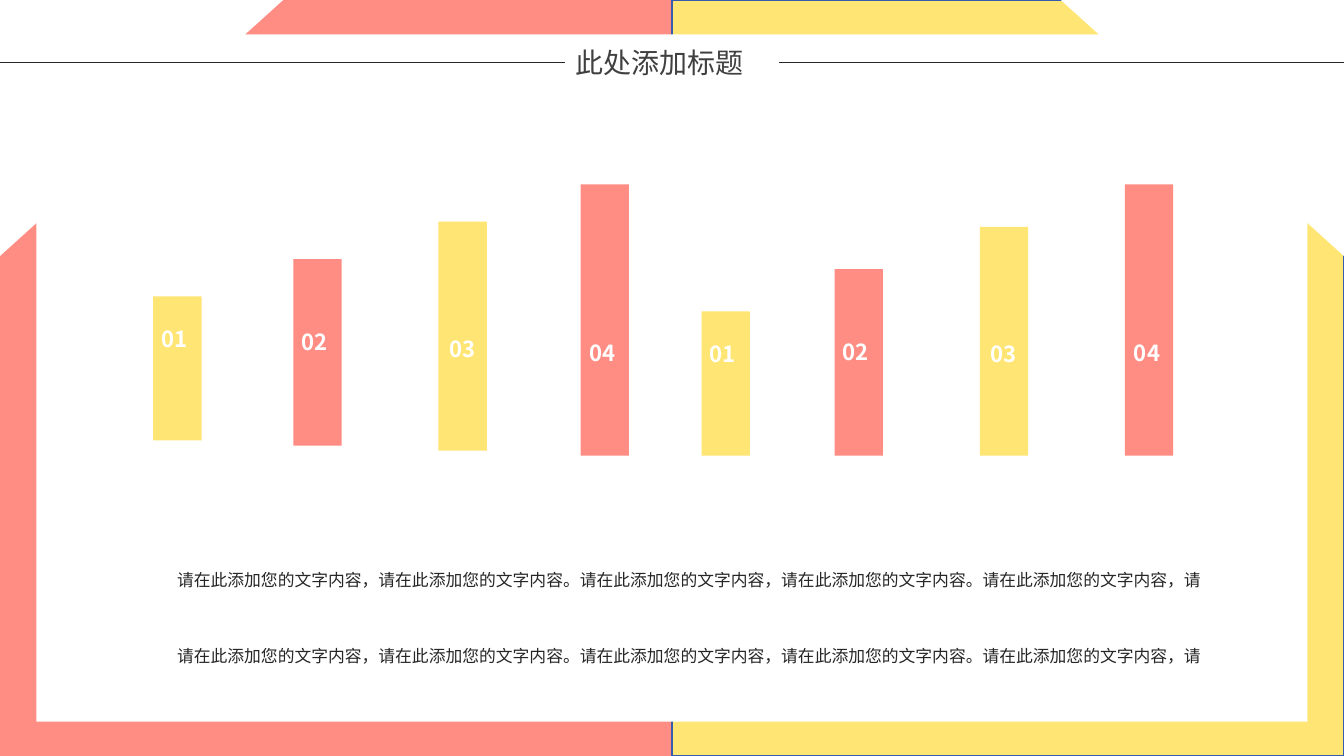
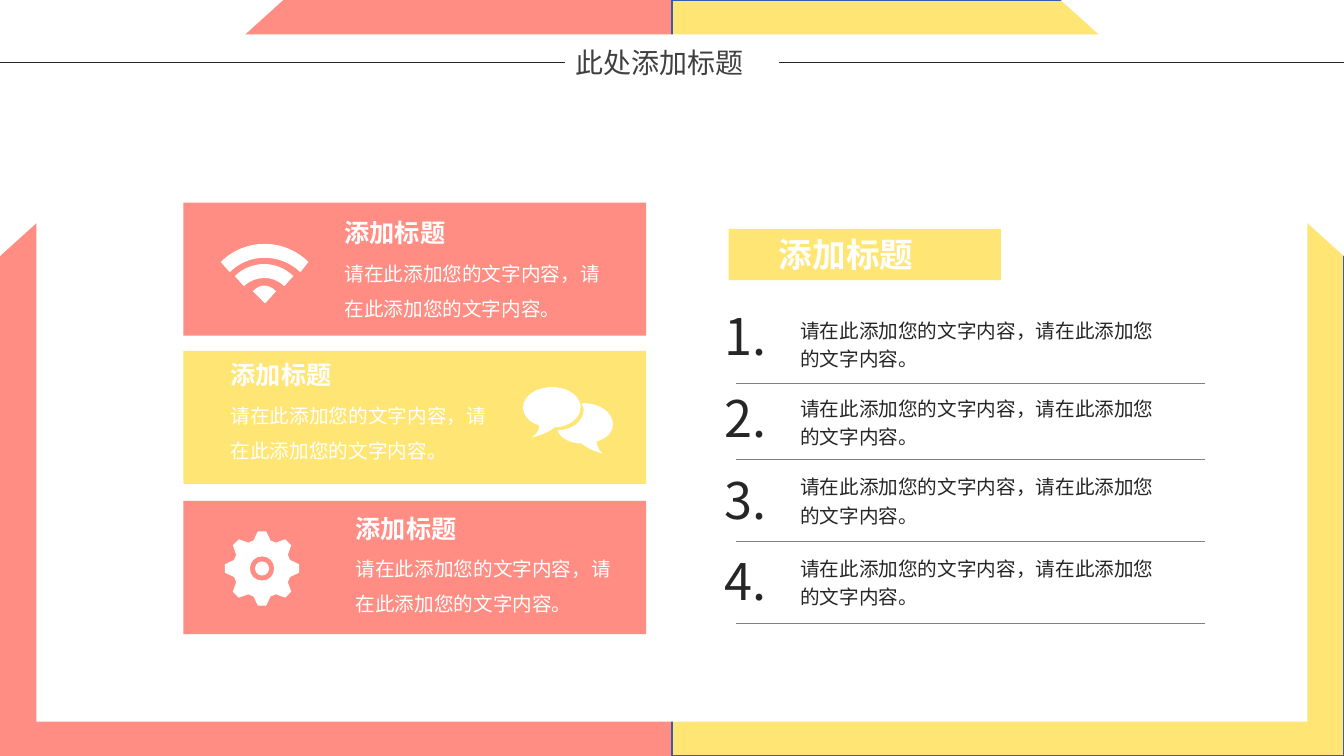
from dataclasses import dataclass
from math import cos, radians, sin

from lxml.etree import SubElement
from pptx import Presentation
from pptx.dml.color import RGBColor as RGB
from pptx.enum.shapes import MSO_CONNECTOR as Connector, MSO_SHAPE as Shape
from pptx.enum.text import MSO_ANCHOR as Anchor, MSO_AUTO_SIZE as AutoSize, PP_ALIGN as Align
from pptx.oxml.ns import qn
from pptx.util import Inches, Pt


@dataclass(frozen=True)
class Theme:
    coral: str = "FF8D83"
    yellow: str = "FFE674"
    white: str = "FFFFFF"
    edge: str = "355CAD"
    ink: str = "262626"
    title_ink: str = "404040"
    rule: str = "808080"
    font: str = "Noto Sans CJK SC"
    title: float = 20
    banner: float = 24
    heading: float = 18
    body: float = 14
    caption: float = 12
    bar_label: float = 15.8
    numeral: float = 36


THEME = Theme()
WIDTH, HEIGHT = 40 / 3, 7.5
TITLE = "此处添加标题"
HEADING = "添加标题"
SENTENCE = "请在此添加您的文字内容，请在此添加您的文字内容。"
CAPTION = SENTENCE * 2 + "请在此添加您的文字内容，请"

# Icon outlines in inches: a pair is a corner, six numbers are a Bézier curve
WIFI = [
    [(.87, .19), (.63, -.05, .24, -.05, 0, .19), (.09, .29), (.28, .1, .59, .1, .79, .29)],
    [(.72, .33), (.56, .17, .3, .17, .14, .33), (.23, .43), (.35, .32, .52, .32, .63, .43)],
    [(.55, .48), (.48, .41, .39, .4, .32, .48), (.44, .6)],
]
BUBBLES = [
    [(.89, .37), (.89, .25, .76, .16, .6, .16), (.58, .17), (.6, .19, .6, .21, .6, .23),
     (.6, .34, .48, .43, .34, .43), (.37, .51, .47, .56, .58, .56),
     (.66, .63, .79, .66, .79, .66), (.73, .61, .73, .56, .73, .54),
     (.83, .51, .89, .45, .89, .37)],
    [(.55, .13), (.52, .06, .41, 0, .29, 0), (.13, 0, 0, .09, 0, .2),
     (0, .28, .06, .35, .16, .38), (.16, .41, .16, .44, .09, .5),
     (.09, .5, .22, .47, .3, .41), (.31, .4), (.45, .4, .57, .31, .57, .2),
     (.57, .18, .57, .16, .55, .13)],
]
GEAR_HOLE = [(0, .12), (-.07, .12, -.12, .07, -.12, 0), (-.12, -.07, -.07, -.12, 0, -.12),
             (.07, -.12, .12, -.07, .12, 0), (.12, .07, .07, .12, 0, .12)]


def add_block(slide, left, top, width, height, fill, kind=Shape.RECTANGLE, edge=None):
    block = slide.shapes.add_shape(kind, *map(Inches, (left, top, width, height)))
    block.shadow.inherit = False
    paint(block, fill)
    if edge:
        block.line.color.rgb = RGB.from_string(edge)
        block.line.width = Pt(1)
    return block


def paint(shape, fill):
    shape.fill.solid()
    shape.fill.fore_color.rgb = RGB.from_string(fill)
    shape.line.fill.background()


def add_rule(slide, x1, x2, y, color):
    rule = slide.shapes.add_connector(Connector.STRAIGHT, *map(Inches, (x1, y, x2, y)))
    rule.line.color.rgb = RGB.from_string(color)
    rule.line.width = Pt(.5)
    SubElement(rule.element.spPr, qn("a:effectLst"))
    return rule


def write(holder, text, size, color, bold=False, align=Align.LEFT, spacing=1.0, inset=(.1, .05)):
    """Put one formatted paragraph into a shape."""
    frame = holder.text_frame
    frame.word_wrap = True
    frame.auto_size = AutoSize.SHAPE_TO_FIT_TEXT
    frame.vertical_anchor = Anchor.TOP
    frame.margin_left = frame.margin_right = Inches(inset[0])
    frame.margin_top = frame.margin_bottom = Inches(inset[1])
    paragraph = frame.paragraphs[0]
    paragraph.alignment = align
    paragraph.line_spacing = spacing
    run = paragraph.add_run()
    run.text = text
    run.font.size = Pt(size)
    run.font.bold = bold
    run.font.color.rgb = RGB.from_string(color)
    run.font.name = THEME.font
    SubElement(run.font._element, qn("a:ea"), typeface=THEME.font)


def add_text(slide, left, top, width, height, text, **style):
    box = slide.shapes.add_textbox(*map(Inches, (left, top, width, height)))
    write(box, text, **style)


# Shared frame and title
def build_frame(slide, layout):
    """Draw the coloured frame once and hand it to the layout."""
    layout.background.fill.solid()
    layout.background.fill.fore_color.rgb = RGB.from_string(THEME.coral)
    corner_w, corner_h = 2.81, 2.54
    parts = [
        add_block(slide, WIDTH / 2, 0, WIDTH / 2, HEIGHT, THEME.yellow, edge=THEME.edge),
        add_block(slide, .36, .34, 12.61, 6.82, THEME.white),
    ]
    for left, flips in ((0, ["flipV"]), (WIDTH - corner_w, ["flipH", "flipV"])):
        corner = add_block(slide, left, 0, corner_w, corner_h, THEME.white, Shape.RIGHT_TRIANGLE)
        for flip in flips:
            corner.element.spPr.get_or_add_xfrm().set(flip, "1")
        parts.append(corner)
    for position, part in enumerate(parts, start=2):
        layout.shapes.element.insert(position, part.element)


def add_title(slide, left=5.61, top=.4, width=2.12, height=.44):
    title = slide.shapes.title
    title.left, title.top, title.width, title.height = map(Inches, (left, top, width, height))
    write(title, TITLE, size=THEME.title, color=THEME.title_ink, align=Align.JUSTIFY)
    middle = top + height / 2
    add_rule(slide, 0, left, middle, THEME.ink).end_connect(title, 1)
    add_rule(slide, left + width, WIDTH, middle, THEME.ink).begin_connect(title, 3)


# Icons
def add_outline(slide, left, top, *contours):
    """Draw closed contours, the later ones as holes, with true curves."""
    builder = None
    for contour in contours:
        points = [(Inches(left + step[i]), Inches(top + step[i + 1]))
                  for step in contour for i in range(0, len(step), 2)]
        if builder:
            builder.move_to(*points[0])
        else:
            builder = slide.shapes.build_freeform(*points[0], scale=1.0)
        builder.add_line_segments(points[1:], close=True)
    icon = builder.convert_to_shape()
    icon.shadow.inherit = False
    paint(icon, THEME.white)

    # Join each three segments of a curve step into one Bézier
    segments = iter(list(icon.element.iter(qn("a:lnTo"))))
    for step in (step for contour in contours for step in contour[1:]):
        first = next(segments)
        if len(step) == 6:
            curve = first.makeelement(qn("a:cubicBezTo"))
            first.addprevious(curve)
            for segment in (first, next(segments), next(segments)):
                curve.append(segment[0])
                segment.getparent().remove(segment)


def add_wifi(slide, left, top):
    for band in WIFI:
        add_outline(slide, left + .37, top + .4, band)


def add_bubbles(slide, left, top):
    for bubble in BUBBLES:
        add_outline(slide, left + 3.37, top + .36, bubble)


def add_gear(slide, left, top):
    center_x, center_y = left + .78, top + .67
    tooth = ((-17, .29), (-6.5, .37), (6.5, .37), (17, .29))
    rim = [(radius * cos(radians(45 * i + angle)), radius * sin(radians(45 * i + angle)))
           for i in range(8) for angle, radius in tooth]
    add_outline(slide, center_x, center_y, rim, GEAR_HOLE)
    hub = .07
    add_block(slide, center_x - hub, center_y - hub, 2 * hub, 2 * hub, THEME.white, Shape.OVAL)


# Slide 1: rising bars
def add_bars(slide, lefts, bottoms, label_tops):
    label_centers = (.21, .21, .24, .22)
    for i, (left, bottom, label_top) in enumerate(zip(lefts, bottoms, label_tops)):
        height = 1.43 + .42 * i
        add_block(slide, left, bottom - height, .48, height, (THEME.yellow, THEME.coral)[i % 2])
        add_text(slide, left + label_centers[i] - .33, label_top, .66, .37, f"{i + 1:02}",
                 size=THEME.bar_label, color=THEME.white, bold=True, align=Align.CENTER)


def build_bar_slide(slide):
    add_title(slide)
    add_bars(slide, (1.52, 2.91, 4.35, 5.76), (4.37, 4.42, 4.47, 4.52), (3.18, 3.21, 3.28, 3.32))
    add_bars(slide, (6.96, 8.28, 9.72, 11.16), (4.52,) * 4, (3.33, 3.31, 3.33, 3.32))
    for top in (5.54, 6.3):
        add_text(slide, 1.62, top, 10.44, .34, CAPTION, size=THEME.caption, color=THEME.ink,
                 align=Align.CENTER, spacing=1.3)


# Slide 2: icon cards and numbered list
def add_card(slide, left, top, fill, add_icon, text_x, text_y):
    add_block(slide, left, top, 4.59, 1.32, fill)
    add_icon(slide, left, top)
    add_text(slide, left + text_x, top + text_y, 1.31, .4, HEADING,
             size=THEME.heading, color=THEME.white, bold=True)
    add_text(slide, left + text_x, top + text_y + .32, 2.76, .77, SENTENCE,
             size=THEME.body, color=THEME.white, spacing=1.5)


def add_numbered_list(slide, left, top):
    # Banner
    add_block(slide, left + .09, top, 2.7, .51, THEME.yellow)
    add_text(slide, left + .49, top, 1.9, .5, HEADING, size=THEME.banner, color=THEME.white,
             bold=True, align=Align.JUSTIFY)
    # Items
    text_and_rule = ((.8, 1.53), (1.57, 2.29), (2.35, 3.1), (3.16, 3.91))
    for i, (text_y, rule_y) in enumerate(text_and_rule):
        add_text(slide, left, top + .73 + .81 * i, .61, .66, f"{i + 1}.",
                 size=THEME.numeral, color=THEME.ink, inset=(.05, .03))
        add_text(slide, left + .7, top + text_y, 3.86, .67, SENTENCE,
                 size=THEME.body, color=THEME.ink, spacing=1.2)
        add_rule(slide, left + .16, left + 4.81, top + rule_y, THEME.rule)


def build_card_slide(slide):
    add_title(slide)
    add_card(slide, 1.82, 2.01, THEME.coral, add_wifi, 1.5, .1)
    add_card(slide, 1.82, 3.48, THEME.yellow, add_bubbles, .37, .04)
    add_card(slide, 1.82, 4.97, THEME.coral, add_gear, 1.61, .07)
    add_numbered_list(slide, 7.14, 2.27)


def main():
    deck = Presentation()
    deck.slide_width, deck.slide_height = Inches(WIDTH), Inches(HEIGHT)
    title_only = deck.slide_layouts[5]
    bar_slide, card_slide = (deck.slides.add_slide(title_only) for _ in range(2))
    build_frame(bar_slide, title_only)
    build_bar_slide(bar_slide)
    build_card_slide(card_slide)
    deck.save("out.pptx")


if __name__ == "__main__":
    main()
